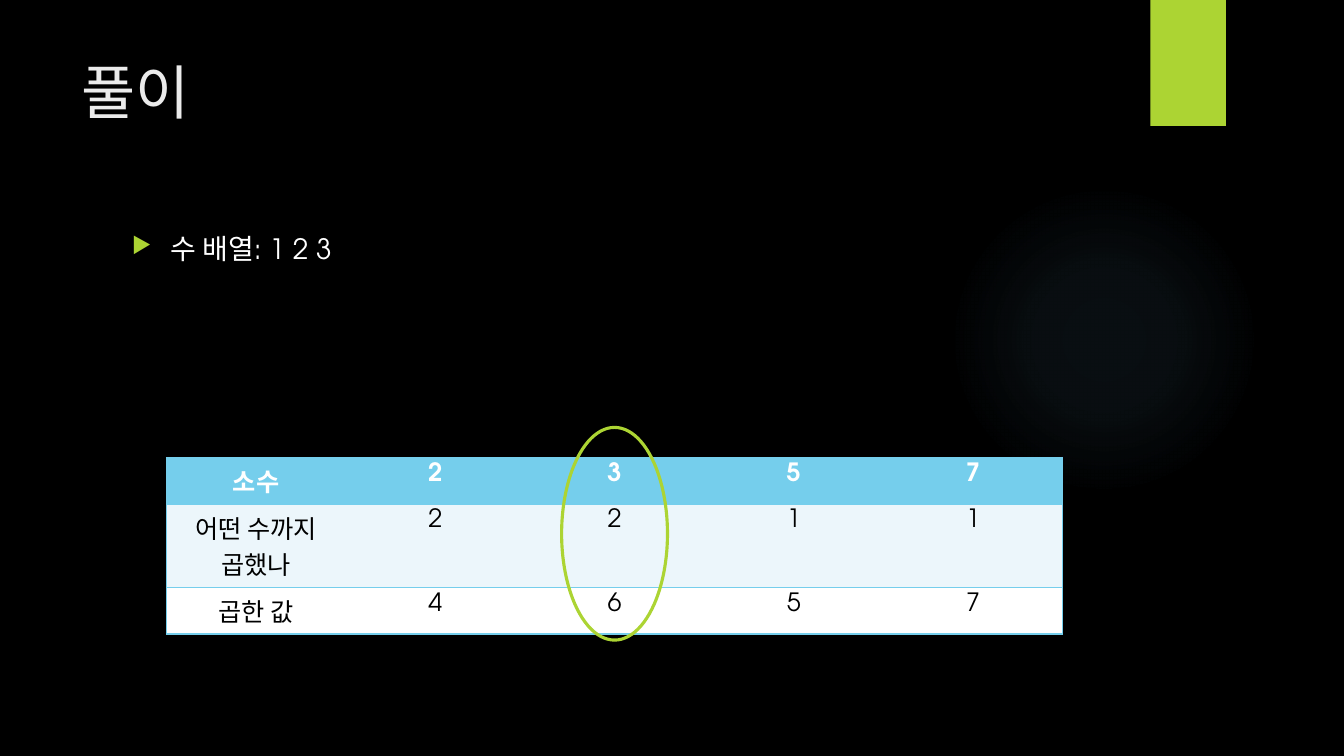
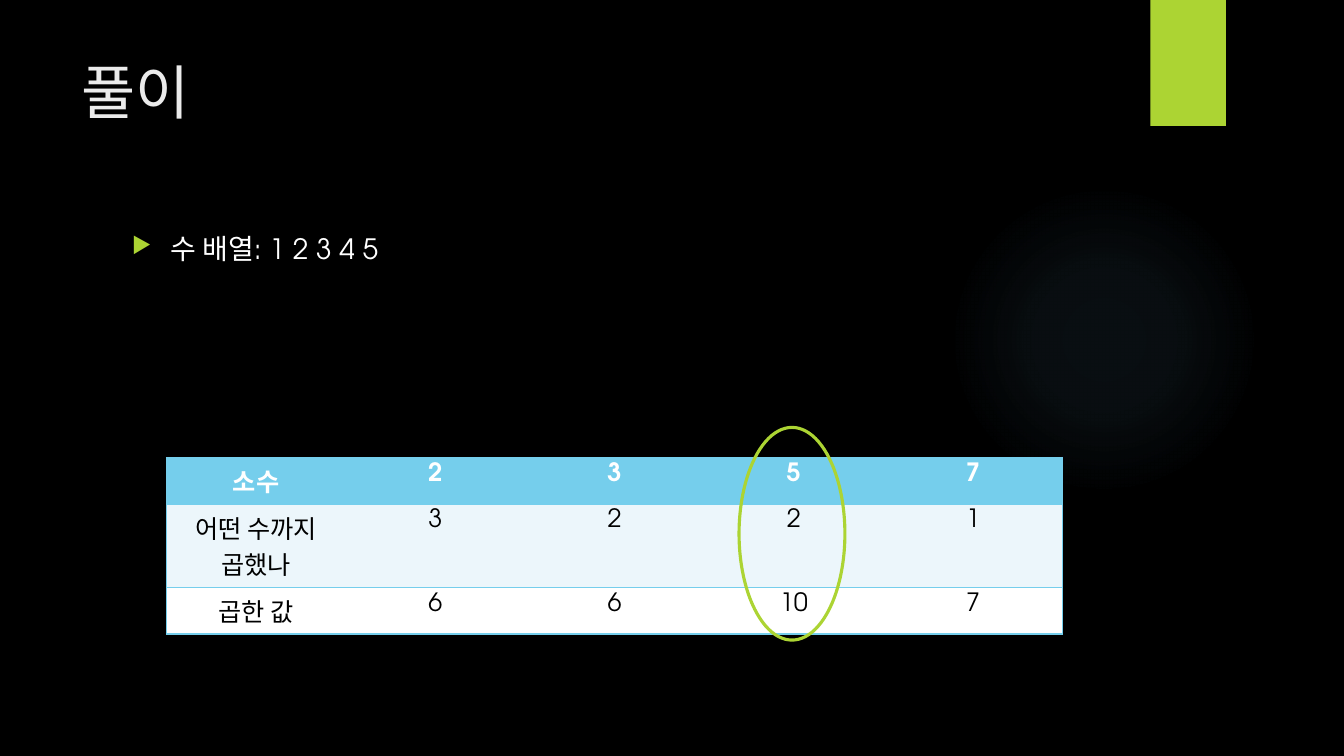
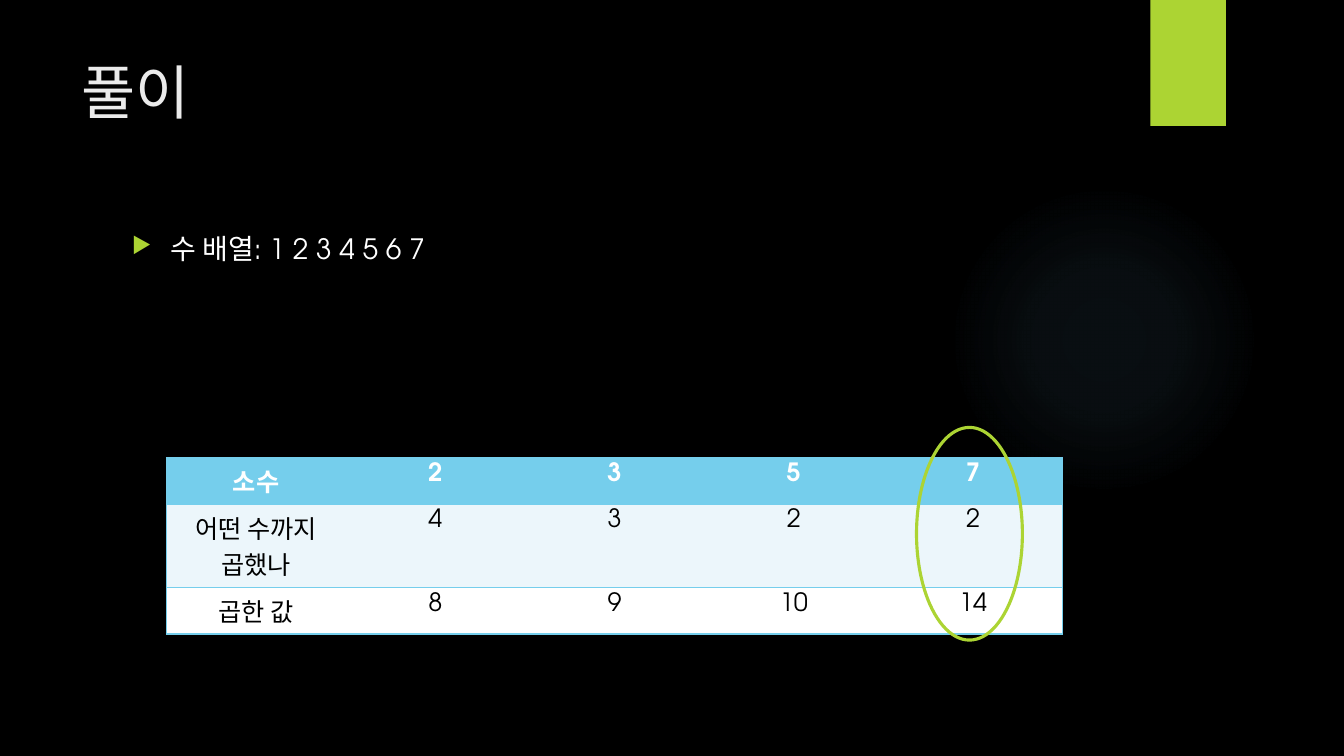
from pptx import Presentation
from pptx import oxml
from pptx.dml.color import RGBColor
from pptx.enum import shapes, text
from pptx.oxml.ns import nsdecls, qn
from pptx.util import Inches, Pt

FONT = "TeX Gyre Adventor"
BLACK = RGBColor(0x00, 0x00, 0x00)
WHITE = RGBColor(0xFF, 0xFF, 0xFF)
TITLE_GREY = RGBColor(0xEB, 0xEB, 0xEB)
LIME = RGBColor(0xAC, 0xD4, 0x33)
SKY = RGBColor(0x75, 0xCE, 0xEC)
PALE_SKY = RGBColor(0xEC, 0xF6, 0xFB)
GLOW_BLUE = RGBColor(0x7A, 0xC4, 0xF0)

PRIMES = ["2", "3", "5", "7"]
ROW_FILLS = [SKY, PALE_SKY, WHITE]
ROW_HEIGHTS = [0.46, 0.83, 0.46]
# Number list, multipliers reached, products, index of the ringed prime
STEPS = [
    ("1 2 3", ["2", "2", "1", "1"], ["4", "6", "5", "7"], 1),
    ("1 2 3 4 5", ["3", "2", "2", "1"], ["6", "6", "10", "7"], 2),
    ("1 2 3 4 5 6 7", ["4", "3", "2", "2"], ["8", "9", "10", "14"], 3),
]


def add_run(paragraph, words, size, color, bold=False):
    run = paragraph.add_run()
    run.text = words
    run.font.name = FONT
    run.font.size = Pt(size)
    run.font.bold = bold
    run.font.color.rgb = color


def add_border(cell, side, position):
    """Draw one cell edge; side is L, R, T or B, in that order of position."""
    cell._tc.get_or_add_tcPr().insert(position, oxml.parse_xml(
        f'<a:ln{side} {nsdecls("a")} w="12700"><a:solidFill>'
        f'<a:srgbClr val="{SKY}"/></a:solidFill></a:ln{side}>'))


prs = Presentation()
prs.slide_width = Inches(13.33)
prs.slide_height = Inches(7.5)
backdrop = prs.slide_master.background.fill
backdrop.solid()
backdrop.fore_color.rgb = BLACK

layout = prs.slide_layouts[5]
title_frame = layout.placeholders[0]
title_frame.left, title_frame.top = Inches(0.71), Inches(0.5)
title_frame.width, title_frame.height = Inches(10.29), Inches(1.53)

slides = [prs.slides.add_slide(layout) for step in STEPS]

# Shared decoration: drawn once, then moved to the layout
glow = slides[0].shapes.add_shape(
    shapes.MSO_SHAPE.OVAL, Inches(9.41), Inches(1.83), Inches(3.08), Inches(3.08))
band = slides[0].shapes.add_shape(
    shapes.MSO_SHAPE.RECTANGLE, Inches(11.41), 0, Inches(0.75), Inches(1.25))
for order, decoration in enumerate([glow, band]):
    decoration.line.fill.background()
    decoration.shadow.inherit = False
    decoration.element.nvSpPr.cNvPr.set("id", str(20 + order))
    layout.shapes.element.insert(2 + order, decoration.element)

stops = "".join(
    f'<a:gs pos="{place * 1000}"><a:srgbClr val="{GLOW_BLUE}">'
    f'<a:alpha val="{alpha * 1000}"/></a:srgbClr></a:gs>'
    for place, alpha in [(0, 7), (36, 6), (69, 0)])
glow.element.spPr.insert(2, oxml.parse_xml(
    f'<a:gradFill {nsdecls("a")}><a:gsLst>{stops}</a:gsLst><a:path path="circle">'
    '<a:fillToRect l="50000" t="50000" r="50000" b="50000"/></a:path></a:gradFill>'))

band.fill.solid()
band.fill.fore_color.rgb = LIME
band.element.spPr.find(qn("a:effectLst")).append(oxml.parse_xml(
    f'<a:outerShdw {nsdecls("a")} blurRad="{Pt(3)}" dist="{Pt(2)}" dir="5400000" '
    f'rotWithShape="0"><a:srgbClr val="{BLACK}"><a:alpha val="45000"/></a:srgbClr>'
    '</a:outerShdw>'))

for slide, (numbers, multipliers, products, ringed) in zip(slides, STEPS):
    heading = slide.shapes.title.text_frame
    heading.vertical_anchor = text.MSO_ANCHOR.TOP
    heading.paragraphs[0].alignment = text.PP_ALIGN.LEFT
    add_run(heading.paragraphs[0], "풀이", 42, TITLE_GREY)

    body = slide.shapes.add_textbox(
        Inches(1.21), Inches(2.25), Inches(9.78), Inches(4.59)).text_frame
    body.word_wrap = True
    bullet = body.paragraphs[0]
    bullet.space_before = Pt(10)
    add_run(bullet, f"수 배열: {numbers}", 20, WHITE)
    bullet_format = bullet._p.get_or_add_pPr()
    bullet_format.set("marL", str(Inches(0.38)))
    bullet_format.set("indent", str(-Inches(0.38)))
    for mark in (f'buClr {nsdecls("a")}><a:srgbClr val="{LIME}"/></a:buClr',
                 f'buSzPct {nsdecls("a")} val="80000"/',
                 f'buChar {nsdecls("a")} char="▶"/'):
        bullet_format.append(oxml.parse_xml(f"<a:{mark}>"))

    rows = [["소수"] + PRIMES,
            ["어떤 수까지\n곱했나"] + multipliers,
            ["곱한 값"] + products]
    table = slide.shapes.add_table(
        len(rows), len(rows[0]), Inches(1.65), Inches(4.54),
        Inches(8.89), Inches(sum(ROW_HEIGHTS))).table
    # "No Style, No Grid"
    table._tbl.tblPr.find(qn("a:tableStyleId")).text = "{2D5ABB26-0587-4C30-8999-92F81FD0307C}"
    for r, (row, fill, height) in enumerate(zip(rows, ROW_FILLS, ROW_HEIGHTS)):
        table.rows[r].height = Inches(height)
        for c, words in enumerate(row):
            cell = table.cell(r, c)
            cell.fill.solid()
            cell.fill.fore_color.rgb = fill
            sides = ("L" if c == 0 else "R" if c == len(PRIMES) else "") + "TB"
            for position, side in enumerate(sides):
                add_border(cell, side, position)
            paragraph = cell.text_frame.paragraphs[0]
            paragraph.alignment = text.PP_ALIGN.CENTER
            for n, line in enumerate(words.split("\n")):
                if n:
                    paragraph.add_line_break()
                add_run(paragraph, line, 18, BLACK if r else WHITE, bold=r == 0)

    ring = slide.shapes.add_shape(
        shapes.MSO_SHAPE.OVAL, Inches(5.57 + 1.76 * (ringed - 1)), Inches(4.24),
        Inches(1.05), Inches(2.11))
    ring.fill.background()
    ring.line.color.rgb = LIME
    ring.line.width = Pt(2.25)
    ring.shadow.inherit = False

prs.save("out.pptx")
